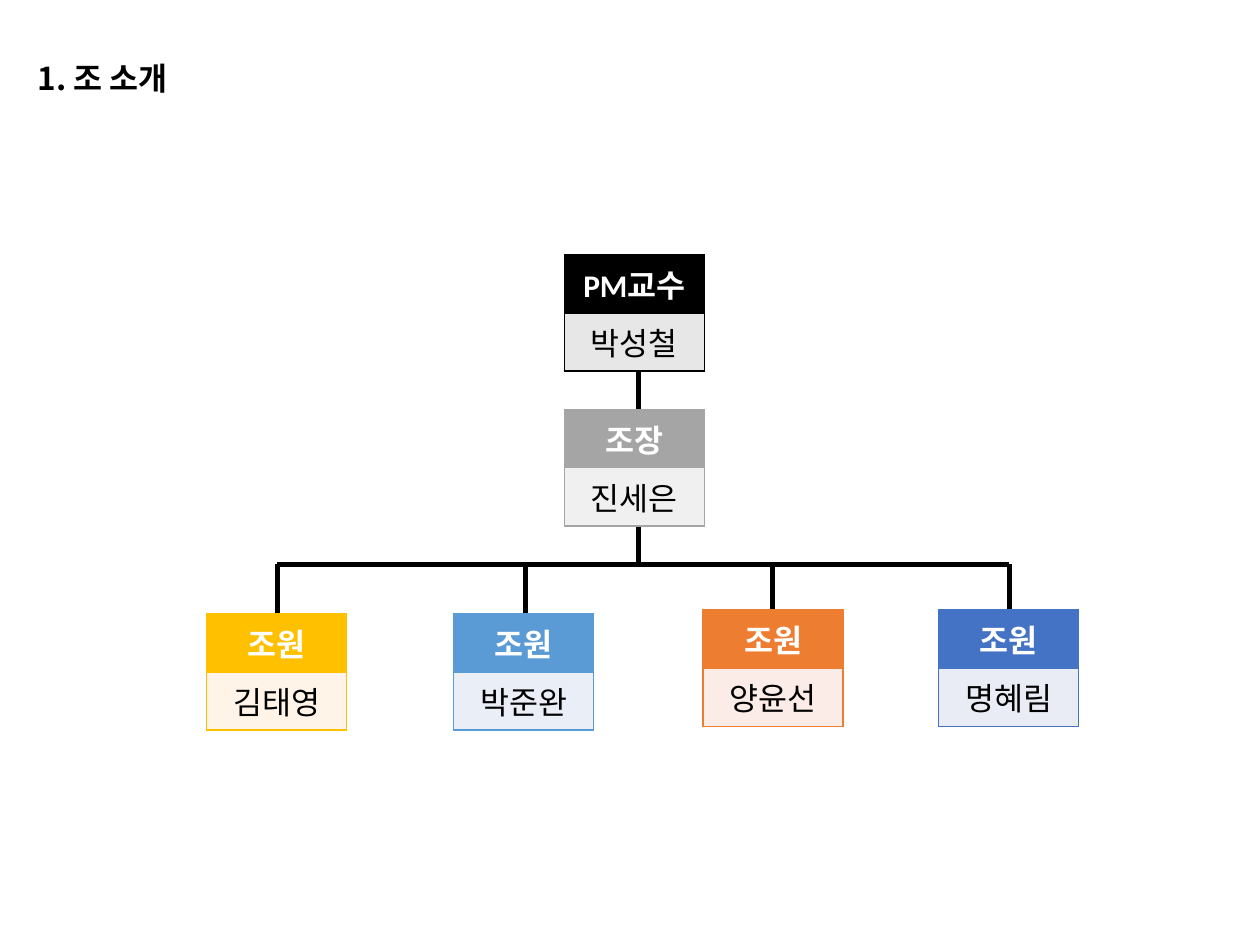
"""Build the team introduction slide with its organisation chart."""
from lxml.etree import SubElement
from pptx import Presentation
from pptx.dml.color import RGBColor
from pptx.enum.shapes import MSO_CONNECTOR
from pptx.enum.text import PP_ALIGN
from pptx.oxml.ns import qn
from pptx.util import Inches, Pt

BLACK = RGBColor(0x00, 0x00, 0x00)
WHITE = RGBColor(0xFF, 0xFF, 0xFF)
GRAY = RGBColor(0xA5, 0xA5, 0xA5)
GOLD = RGBColor(0xFF, 0xC0, 0x00)
BLUE = RGBColor(0x5B, 0x9B, 0xD5)
ORANGE = RGBColor(0xED, 0x7D, 0x31)
NAVY = RGBColor(0x44, 0x72, 0xC4)
PALE_BLACK = RGBColor(0xE7, 0xE7, 0xE7)
PALE_GRAY = RGBColor(0xF0, 0xF0, 0xF0)
PALE_GOLD = RGBColor(0xFF, 0xF4, 0xE7)
PALE_BLUE = RGBColor(0xEA, 0xEF, 0xF7)
PALE_ORANGE = RGBColor(0xFC, 0xEC, 0xE8)
PALE_NAVY = RGBColor(0xE9, 0xEB, 0xF5)

TITLE = "1. 조 소개"
CARDS = [
    ("PM교수", "박성철", 4.48, 2.02, 0.42, BLACK, PALE_BLACK),
    ("조장", "진세은", 4.48, 3.25, 0.42, GRAY, PALE_GRAY),
    ("조원", "양윤선", 5.58, 4.84, 0.42, ORANGE, PALE_ORANGE),
    ("조원", "박준완", 3.6, 4.87, 0.38, BLUE, PALE_BLUE),
    ("조원", "김태영", 1.64, 4.87, 0.38, GOLD, PALE_GOLD),
    ("조원", "명혜림", 7.45, 4.84, 0.42, NAVY, PALE_NAVY),
]
WIDE, ROW = 1.11, 0.42
TRUNK, BAR, DROP = 5.07, 4.48, 4.87
STEMS = [2.2, 4.17, 6.13, 8.01]
LINKS = [(TRUNK, 2.86, TRUNK, 3.5), (TRUNK, 4.09, TRUNK, BAR)]
LINKS += [(x, BAR, x, DROP) for x in STEMS]
SPAN = (STEMS[0], BAR, STEMS[-1], BAR)
TITLE_FONT = {"name": "Noto Sans CJK KR", "size": Pt(18), "bold": True}
HEAD_FONT = {"name": "Calibri", "size": Pt(18), "bold": True}
NAME_FONT = {**HEAD_FONT, "bold": False}


def style(font, form, color):
    for key, value in form.items():
        setattr(font, key, value)
    font.color.rgb = color


def link(slide, ends):
    line = slide.shapes.add_connector(MSO_CONNECTOR.STRAIGHT, *map(Inches, ends))
    line.line.color.rgb = BLACK
    line.line.width = Pt(3)
    SubElement(line.element.spPr, qn("a:effectLst"))


def border(cell, color):
    props = cell._tc.get_or_add_tcPr()
    for spot, side in enumerate(("a:lnL", "a:lnR", "a:lnT", "a:lnB")):
        edge = SubElement(props, qn(side), w=str(Pt(1)))
        fill = SubElement(edge, qn("a:solidFill"))
        SubElement(fill, qn("a:srgbClr"), val=str(color))
        props.insert(spot, edge)


def card(slide, role, name, left, top, head, color, pale):
    box = map(Inches, (left, top, WIDE, head + ROW))
    table = slide.shapes.add_table(2, 1, *box).table
    rows = [
        (role, head, color, HEAD_FONT, WHITE),
        (name, ROW, pale, NAME_FONT, BLACK),
    ]
    for i, (text, tall, fill, form, ink) in enumerate(rows):
        table.rows[i].height = Inches(tall)
        cell = table.cell(i, 0)
        cell.fill.solid()
        cell.fill.fore_color.rgb = fill
        border(cell, color)
        para = cell.text_frame.paragraphs[0]
        para.alignment = PP_ALIGN.CENTER
        run = para.add_run()
        run.text = text
        style(run.font, form, ink)


def main():
    deck = Presentation()
    deck.slide_width, deck.slide_height = Inches(10), Inches(7.5)
    slide = deck.slides.add_slide(deck.slide_layouts[6])
    for ends in LINKS:
        link(slide, ends)
    for item in CARDS:
        card(slide, *item)
    link(slide, SPAN)
    box = slide.shapes.add_textbox(*map(Inches, (0.2, 0.42, 1.33, 0.4)))
    box.text_frame.word_wrap = False
    run = box.text_frame.paragraphs[0].add_run()
    run.text = TITLE
    style(run.font, TITLE_FONT, BLACK)
    deck.save("out.pptx")


if __name__ == "__main__":
    main()
